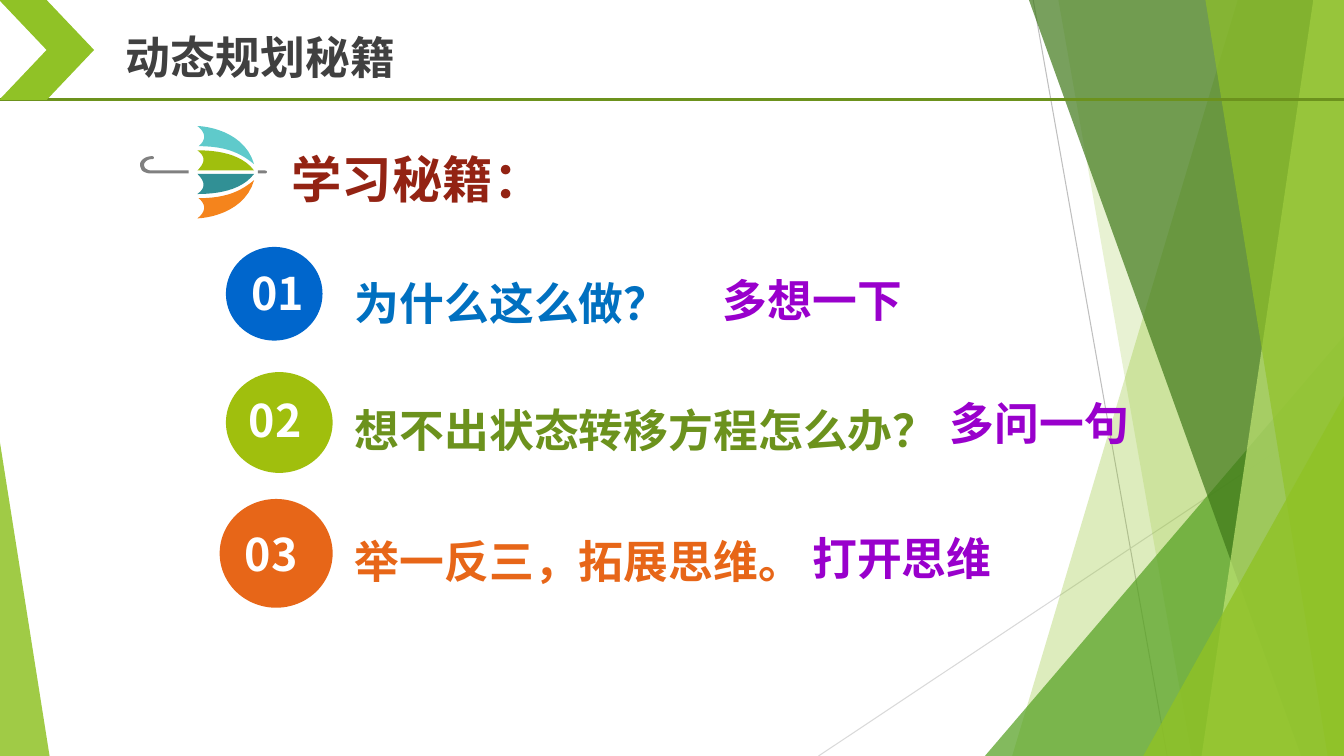
"""Build the study-tips slide on a grid of 32 columns by 18 rows."""
from dataclasses import dataclass

from lxml import etree
from pptx import Presentation
from pptx import util as u
from pptx.dml.color import RGBColor
from pptx.enum import shapes, text
from pptx.oxml.ns import qn

COLUMNS, ROWS = 32, 18
CELL = u.Emu(381000)
FONT = "Noto Sans CJK SC"
AXIS = 4.1
CURVE_STEPS = 12

WHITE = RGBColor(0xFF, 0xFF, 0xFF)
CHARCOAL = RGBColor(0x40, 0x40, 0x40)
GREY = RGBColor(0x80, 0x80, 0x80)
SILVER = RGBColor(0xBF, 0xBF, 0xBF)
PALE_GREY = RGBColor(0xD9, 0xD9, 0xD9)
LEAF = RGBColor(0x90, 0xC2, 0x26)
GRASS = RGBColor(0x54, 0xA0, 0x21)
FOREST = RGBColor(0x3F, 0x78, 0x19)
MINT = RGBColor(0xC0, 0xE4, 0x74)
OLIVE = RGBColor(0x6C, 0x92, 0x1D)
AQUA = RGBColor(0x5F, 0xCA, 0xCB)
LIME = RGBColor(0xA0, 0xBF, 0x0D)
TEAL = RGBColor(0x31, 0x90, 0x95)
AMBER = RGBColor(0xF5, 0x84, 0x1C)
BRICK = RGBColor(0x93, 0x23, 0x13)
COBALT = RGBColor(0x00, 0x66, 0xCC)
BLUE = RGBColor(0x00, 0x70, 0xC0)
ORANGE = RGBColor(0xE7, 0x66, 0x18)
VIOLET = RGBColor(0x99, 0x00, 0xCC)

Point = tuple[float, float]


@dataclass(frozen=True)
class Box:
    """A rectangle in grid cells."""
    left: float
    top: float
    width: float
    height: float

    def emu(self) -> list[int]:
        """Return left, top, width and height in EMU."""
        return [grid(v) for v in (self.left, self.top, self.width, self.height)]


@dataclass(frozen=True)
class Rule:
    """A straight line between two grid points."""
    start: Point
    end: Point
    color: RGBColor
    weight: float


@dataclass(frozen=True)
class Facet:
    """A translucent strip from the top edge to the bottom edge."""
    top: Point
    bottom: Point
    color: RGBColor
    opacity: int


@dataclass(frozen=True)
class Corner:
    """A translucent triangle standing on the bottom edge."""
    box: Box
    apex: float
    color: RGBColor
    opacity: int


@dataclass(frozen=True)
class Tip:
    """A numbered tip with its badge, phrase and hint."""
    number: str
    phrase: str
    hint: str
    badge: Box
    label: Point
    phrase_top: float
    hint_at: Point
    badge_color: RGBColor
    phrase_color: RGBColor
    spacing: float


RULES = [
    Rule((24.6, 0), (27.79, ROWS), SILVER, 0.75),
    Rule((COLUMNS, 9.67), (19.49, ROWS), PALE_GREY, 0.75),
]
FACETS = [
    Facet((29.47, COLUMNS), (24.1, COLUMNS), LEAF, 30),
    Facet((25.2, COLUMNS), (28.37, COLUMNS), LEAF, 20),
    Corner(Box(23.45, 8, 8.55, 10), 1, GRASS, 72),
    Facet((24.5, COLUMNS), (30.98, COLUMNS), FOREST, 70),
    Facet((31.27, COLUMNS), (28.61, COLUMNS), MINT, 70),
    Facet((28.7, COLUMNS), (31.61, COLUMNS), LEAF, 65),
    Corner(Box(27.22, 9.43, 4.78, 8.57), 1, LEAF, 80),
    Corner(Box(0, 10.54, 1.18, 7.46), 0, LEAF, 85),
]
OUTER_PANEL = [
    [(6.05, 3.91)], [(5.86, 3.24), (5.14, 3.02), (4.7, 3)],
    [(4.92, 3.17), (4.9, 3.34), (4.73, 3.48)],
    [(5.42, 3.48), (5.76, 3.67), (6.05, 3.91)],
]
INNER_PANEL = [
    [(6.05, 4.06)], [(5.74, 3.65), (5.14, 3.58), (4.7, 3.58)],
    [(4.92, 3.74), (4.87, 3.89), (4.7, 4.06)],
]
FERRULE = [
    [(6.14, 4.06)], [(6.31, 4.06)],
    [(6.37, 4.06), (6.37, 4.13), (6.31, 4.13)], [(6.14, 4.13)],
]
HANDLE = [
    [(3.62, 3.72)], [(3.5, 3.72), (3.41, 3.77), (3.36, 3.84)],
    [(3.31, 3.91), (3.34, 3.98), (3.38, 4.06)],
    [(3.43, 4.1), (3.5, 4.13), (3.58, 4.13)], [(4.49, 4.13)], [(4.49, 4.06)],
    [(3.6, 4.06)], [(3.53, 4.06), (3.5, 4.03), (3.46, 4.01)],
    [(3.43, 3.96), (3.41, 3.91), (3.46, 3.86)],
    [(3.48, 3.82), (3.55, 3.79), (3.62, 3.79)],
    [(3.68, 3.79), (3.68, 3.72), (3.62, 3.72)],
]
TIPS = [
    Tip("01", "为什么这么做？", "多想一下", Box(5.38, 5.88, 2.3, 2.23),
        (5.74, 6.22), 6.17, (17.21, 6.12), COBALT, BLUE, 1.3),
    Tip("02", "想不出状态转移方程怎么办？", "多问一句", Box(5.38, 8.86, 2.54, 2.4),
        (5.69, 9.24), 8.95, (22.61, 8.78), LIME, OLIVE, 1.5),
    Tip("03", "举一反三，拓展思维。", "打开思维", Box(5.23, 11.88, 2.69, 2.59),
        (5.59, 12.43), 12.07, (19.34, 12), ORANGE, ORANGE, 1.5),
]


def grid(cells: float) -> int:
    """Convert grid cells to EMU."""
    return round(cells * CELL)


def paint(shape, color: RGBColor, opacity: int = 100) -> None:
    """Fill a shape flatly, without line or shadow."""
    shape.shadow.inherit = False
    shape.fill.solid()
    shape.fill.fore_color.rgb = color
    shape.line.fill.background()
    if opacity < 100:
        tint = shape.fill._xPr.find(qn("a:solidFill"))[0]
        etree.SubElement(tint, qn("a:alpha"), val=str(opacity * 1000))


def draw_rule(slide, rule: Rule) -> None:
    """Draw a straight line."""
    line = slide.shapes.add_connector(
        shapes.MSO_CONNECTOR.STRAIGHT, *map(grid, rule.start + rule.end))
    line.line.color.rgb = rule.color
    line.line.width = u.Pt(rule.weight)
    etree.SubElement(line._element.spPr, qn("a:effectLst"))


def draw_preset(slide, kind, box: Box, color: RGBColor, opacity: int = 100):
    """Draw a preset shape and return it."""
    shape = slide.shapes.add_shape(kind, *box.emu())
    paint(shape, color, opacity)
    return shape


def draw_outline(slide, segments: list[list[Point]], color: RGBColor, opacity: int = 100) -> None:
    """Draw a closed outline of straight and cubic segments."""
    points = list(segments[0])
    for segment in segments[1:]:
        if len(segment) == 1:
            points += segment
            continue
        controls = [points[-1], *segment]
        for step in range(1, CURVE_STEPS + 1):
            t = step / CURVE_STEPS
            weights = ((1 - t) ** 3, 3 * t * (1 - t) ** 2, 3 * t * t * (1 - t), t ** 3)
            points.append(tuple(sum(w * p[i] for w, p in zip(weights, controls)) for i in (0, 1)))
    corners = [(grid(x), grid(y)) for x, y in points]
    builder = slide.shapes.build_freeform(*corners[0])
    builder.add_line_segments(corners[1:], close=True)
    paint(builder.convert_to_shape(), color, opacity)


def draw_backdrop(slide) -> None:
    """Draw the thin lines and the translucent green facets."""
    for rule in RULES:
        draw_rule(slide, rule)
    for piece in FACETS:
        if isinstance(piece, Corner):
            triangle = draw_preset(slide, shapes.MSO_SHAPE.ISOSCELES_TRIANGLE,
                                   piece.box, piece.color, piece.opacity)
            triangle.adjustments[0] = piece.apex
        else:
            (left, right), (foot_left, foot_right) = piece.top, piece.bottom
            edge = [[(left, 0)], [(right, 0)], [(foot_right, ROWS)], [(foot_left, ROWS)]]
            draw_outline(slide, edge, piece.color, piece.opacity)


def draw_umbrella(slide) -> None:
    """Draw the umbrella, its lower panels mirroring the upper ones."""
    for panel, upper, lower in ((OUTER_PANEL, AQUA, AMBER), (INNER_PANEL, LIME, TEAL)):
        draw_outline(slide, panel, upper)
        mirrored = [[(x, 2 * AXIS - y) for x, y in segment] for segment in panel]
        draw_outline(slide, mirrored, lower)
    for part in (FERRULE, HANDLE):
        draw_outline(slide, part, GREY)


def write(slide, words: str, box: Box, *, color: RGBColor, size: int = 32,
          spacing: float = 1.0, inset: bool = False, holder=None) -> None:
    """Write bold text in a new text box or in a given placeholder."""
    holder = holder or slide.shapes.add_textbox(*box.emu())
    holder.left, holder.top, holder.width, holder.height = box.emu()
    frame = holder.text_frame
    frame.word_wrap = True
    frame.auto_size = text.MSO_AUTO_SIZE.SHAPE_TO_FIT_TEXT
    frame.vertical_anchor = text.MSO_ANCHOR.TOP
    if not inset:
        frame.margin_left = frame.margin_right = frame.margin_top = frame.margin_bottom = 0
    line = frame.paragraphs[0]
    line.alignment = text.PP_ALIGN.LEFT
    line.line_spacing = spacing
    run = line.add_run()
    run.text = words
    run.font.size, run.font.bold, run.font.name = u.Pt(size), True, FONT
    run.font.color.rgb = color
    etree.SubElement(run.font._element, qn("a:ea"), typeface=FONT)


def draw_tip(slide, tip: Tip) -> None:
    """Draw one numbered tip."""
    draw_preset(slide, shapes.MSO_SHAPE.OVAL, tip.badge, tip.badge_color)
    write(slide, tip.number, Box(*tip.label, 1.9, 1.54), color=WHITE, inset=True)
    write(slide, tip.phrase, Box(8.45, tip.phrase_top, 15.7, 1.94),
          color=tip.phrase_color, spacing=tip.spacing)
    write(slide, tip.hint, Box(*tip.hint_at, 5.5, 1.94), color=VIOLET, spacing=tip.spacing)


def main() -> None:
    """Build and save the slide."""
    deck = Presentation()
    deck.slide_width, deck.slide_height = COLUMNS * CELL, ROWS * CELL
    slide = deck.slides.add_slide(deck.slide_layouts[5])
    draw_backdrop(slide)
    draw_rule(slide, Rule((0, 2.38), (COLUMNS, 2.38), OLIVE, 2.25))
    draw_preset(slide, shapes.MSO_SHAPE.CHEVRON, Box(-0.02, 0, 2.26, 2.38), LEAF)
    write(slide, "动态规划秘籍", Box(2.76, 0.58, 10.39, 1.54), color=CHARCOAL,
          inset=True, holder=slide.shapes.title)
    draw_umbrella(slide)
    write(slide, "学习秘籍：", Box(6.94, 3.1, 15.7, 1.63), color=BRICK, size=36, spacing=1.3)
    for tip in TIPS:
        draw_tip(slide, tip)
    deck.save("out.pptx")


if __name__ == "__main__":
    main()
